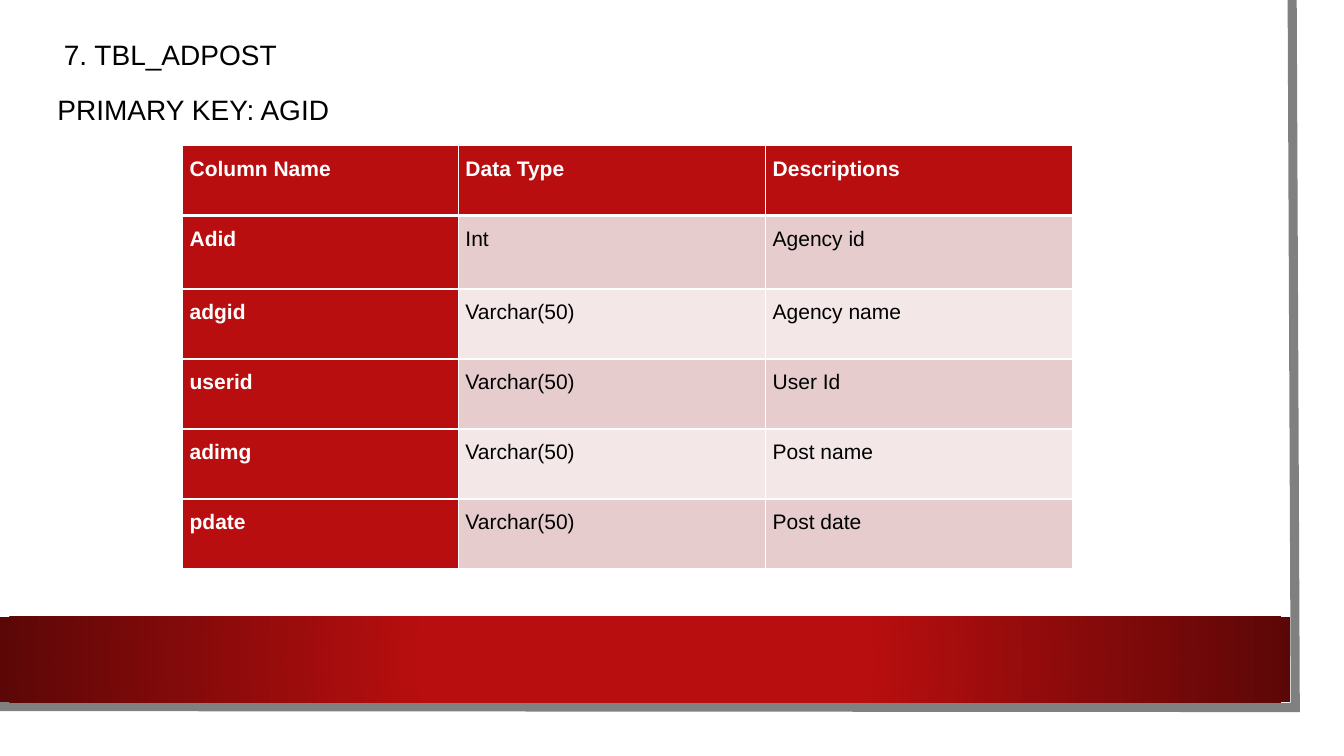
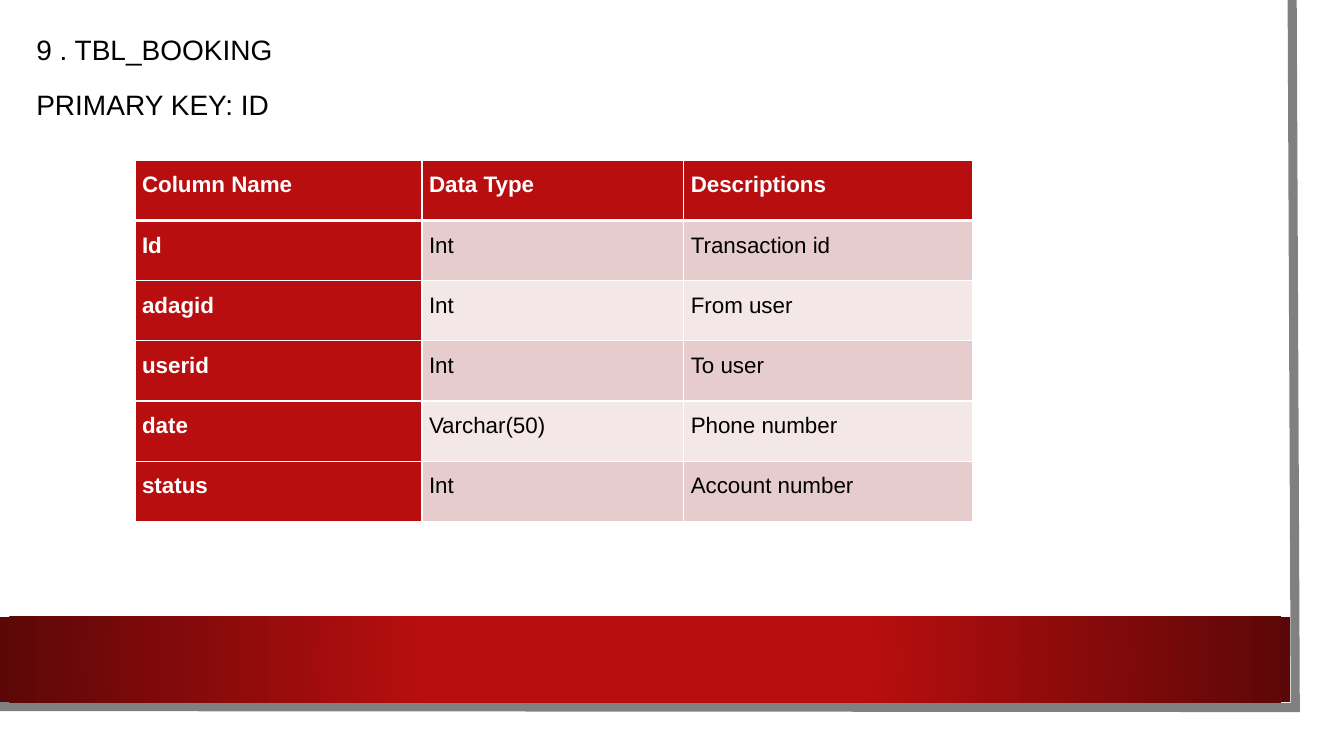
import pptx
import pptx.dml.color
import pptx.enum.shapes
import pptx.enum.text
import pptx.oxml
import pptx.oxml.ns
import pptx.util

Pt = pptx.util.Pt
RGB = pptx.dml.color.RGBColor.from_string
MIDDLE = pptx.enum.text.MSO_ANCHOR.MIDDLE
JUSTIFY = pptx.enum.text.PP_ALIGN.JUSTIFY
RECT = pptx.enum.shapes.MSO_SHAPE.RECTANGLE
NS = pptx.oxml.ns.nsdecls("a")

COLORS = {
    "white": "FFFFFF",
    "black": "000000",
    "red": "B80E0F",
    "dark_red": "5C0707",
    "gray": "808080",
    "band_dark": "E6CCCC",
    "band_light": "F3E7E7",
}


def set_all(obj, values):
    for name, value in values.items():
        setattr(obj, name, value)


class Deck:
    """Holds the shared style and the current slide."""

    font = "Arial"
    heading_size = 20
    heading_frame = {"word_wrap": True, "vertical_anchor": MIDDLE,
                     "auto_size": pptx.enum.text.MSO_AUTO_SIZE.NONE}
    cell_margins = {"margin_left": Pt(5), "margin_right": Pt(5),
                    "margin_top": 0, "margin_bottom": 0}

    def __init__(self, width, height):
        self.prs = pptx.Presentation()
        set_all(self.prs, {"slide_width": Pt(width), "slide_height": Pt(height)})
        self.layout = self.prs.slide_layouts[1]
        self.s = None

    def add_slide(self):
        first = self.s is None
        self.s = self.prs.slides.add_slide(self.layout)
        title = self.s.shapes.title.element
        title.getparent().remove(title)
        if first:
            self.add_frame()

    def add_run(self, p, text, size, color, bold=False):
        r = p.add_run()
        r.text = text
        set_all(r.font, {"name": self.font, "size": Pt(size), "bold": bold})
        r.font.color.rgb = RGB(COLORS[color])

    def add_rect(self, shapes, x, y, w, h, color):
        sp = shapes.add_shape(RECT, Pt(x), Pt(y), Pt(w), Pt(h))
        sp.shadow.inherit = False
        sp.fill.solid()
        sp.fill.fore_color.rgb = RGB(COLORS[color])
        sp.line.fill.background()
        return sp

    def add_frame(self):
        """Draw the sheet, its edge and the band, and keep them in the layout."""
        group = self.s.shapes.add_group_shape()
        self.add_rect(group.shapes, 0, 0, 943.2, 523.4, "white")

        # Gray edge along the right and bottom
        builder = group.shapes.build_freeform(Pt(923), 0)
        builder.add_line_segments(
            [(Pt(925.2), Pt(505.4)), (Pt(-2.2), Pt(504.7))], close=False)
        edge = builder.convert_to_shape()
        edge.shadow.inherit = False
        edge.fill.background()
        edge.line.width = Pt(6.5)
        edge.line.color.rgb = RGB(COLORS["gray"])
        edge.get_or_add_ln().append(
            pptx.oxml.parse_xml(f'<a:miter {NS} lim="800000"/>'))

        # Red band, darker toward both ends
        band = self.add_rect(group.shapes, 0, 440.6, 921.6, 61.2, "red")
        solid = band.element.spPr.find(pptx.oxml.ns.qn("a:solidFill"))
        stops = "".join(
            f'<a:gs pos="{pos}"><a:srgbClr val="{COLORS[color]}"/></a:gs>'
            for pos, color in ((34000, "red"), (100000, "dark_red")))
        solid.getparent().replace(solid, pptx.oxml.parse_xml(
            f'<a:gradFill {NS} rotWithShape="1"><a:gsLst>{stops}</a:gsLst>'
            '<a:path path="circle"><a:fillToRect l="50000" t="50000" '
            'r="50000" b="50000"/></a:path></a:gradFill>'))

        # Move behind the placeholders of the layout, with ids of its own
        for i, props in enumerate(group.element.xpath(".//p:cNvPr")):
            props.set("id", str(100 + i))
        self.layout.shapes.element.insert(2, group.element)

    def add_heading(self, x, y, lines, first_indent=0):
        sp = self.s.placeholders[1]
        set_all(sp, {"left": Pt(x), "top": Pt(y),
                     "width": Pt(818.6), "height": Pt(95)})
        tf = sp.text_frame
        set_all(tf, self.heading_frame)
        for i, line in enumerate(lines):
            p = tf.add_paragraph() if i else tf.paragraphs[0]
            pPr = p._p.get_or_add_pPr()
            pPr.set("marL", str(0 if i else Pt(first_indent)))
            pPr.set("indent", "0")
            pPr.append(pptx.oxml.parse_xml(f"<a:buNone {NS}/>"))
            set_all(p, {"line_spacing": 1.2, "space_before": Pt(10 if i else 0)})
            self.add_run(p, line, self.heading_size, "black")

    def add_borders(self, cell, row):
        tcPr = cell._tc.get_or_add_tcPr()
        widths = {"L": 1, "R": 1, "T": 3 if row == 1 else 1,
                  "B": 3 if row == 0 else 1}
        for side, width in widths.items():
            tcPr.append(pptx.oxml.parse_xml(
                f'<a:ln{side} {NS} w="{Pt(width)}"><a:solidFill><a:srgbClr '
                f'val="{COLORS["white"]}"/></a:solidFill></a:ln{side}>'))

    def add_table(self, x, y, col_widths, row_heights, size, rows):
        table = self.s.shapes.add_table(
            len(rows), len(col_widths), Pt(x), Pt(y),
            Pt(sum(col_widths)), Pt(sum(row_heights))).table
        table.first_col = True
        for col, width in zip(table.columns, col_widths):
            col.width = Pt(width)
        for i, (row, height) in enumerate(zip(rows, row_heights)):
            table.rows[i].height = Pt(height)
            for j, text in enumerate(row):
                cell = table.cell(i, j)
                head = i == 0 or j == 0
                fill = "red" if head else "band_dark" if i % 2 else "band_light"
                self.add_borders(cell, i)
                set_all(cell, self.cell_margins)
                cell.fill.solid()
                cell.fill.fore_color.rgb = RGB(COLORS[fill])
                p = cell.text_frame.paragraphs[0]
                set_all(p, {"alignment": JUSTIFY, "line_spacing": 1.5})
                self.add_run(p, text, size, "white" if head else "black", head)


HEADER = ("Column Name", "Data Type", "Descriptions")


def main():
    deck = Deck(960, 540)

    # Ad post table
    deck.add_slide()
    deck.add_heading(33.8, 8.6, ["7. TBL_ADPOST", "PRIMARY KEY: AGID"], 4.6)
    deck.add_table(130.5, 104, [197, 219.5, 219.5], [50, 52.5] + [50] * 4, 15, [
        HEADER,
        ("Adid", "Int", "Agency id"),
        ("adgid", "Varchar(50)", "Agency name"),
        ("userid", "Varchar(50)", "User Id"),
        ("adimg", "Varchar(50)", "Post name"),
        ("pdate", "Varchar(50)", "Post date"),
    ])

    # Booking table
    deck.add_slide()
    deck.add_heading(18.7, 5, ["9 . TBL_BOOKING", "PRIMARY KEY: ID"])
    deck.add_table(96.5, 114.5, [205, 187, 206], [43] * 6, 16, [
        HEADER,
        ("Id", "Int", "Transaction id"),
        ("adagid", "Int", "From user"),
        ("userid", "Int", "To user"),
        ("date", "Varchar(50)", "Phone number"),
        ("status", "Int", "Account number"),
    ])

    deck.prs.save("out.pptx")


if __name__ == "__main__":
    main()
